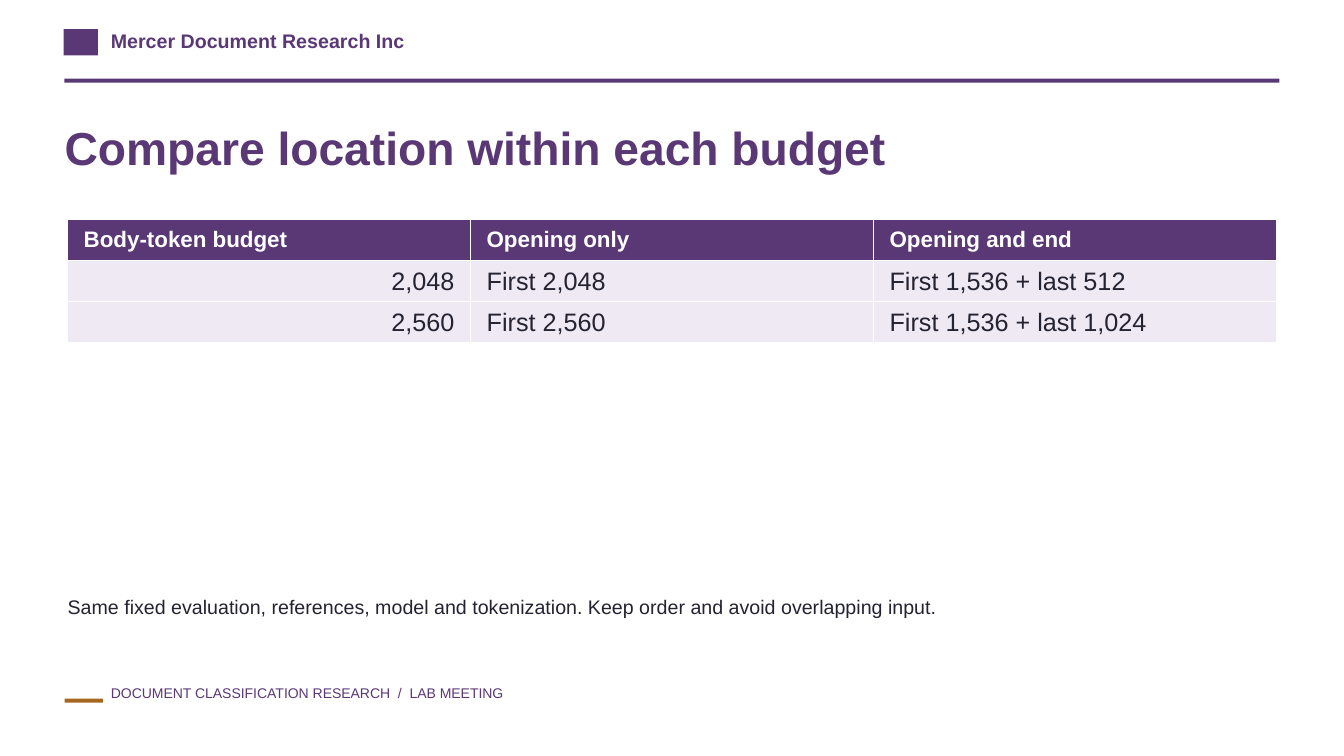
from pptx import Presentation
from pptx.enum.shapes import MSO_SHAPE as Shape
from pptx.enum.text import MSO_ANCHOR as Anchor, MSO_AUTO_SIZE as AutoSize, PP_ALIGN as Align
from pptx.dml.color import RGBColor
from pptx.util import Inches, Pt
from lxml import etree

PURPLE, OCHRE, INK, LILAC, WHITE = "593875", "A56720", "242331", "EFE9F4", "FFFFFF"
DRAWING = "{http://schemas.openxmlformats.org/drawingml/2006/main}"
colour = RGBColor.from_string

deck = Presentation()
deck.slide_width, deck.slide_height = Inches(13.33), Inches(7.5)
page = deck.slides.add_slide(deck.slide_layouts[1])


def area(left, top, width, height):
    """Turn percentages of the slide into lengths."""
    wide, high = deck.slide_width / 100, deck.slide_height / 100
    return [round(n) for n in (left * wide, top * high, width * wide, height * high)]


def write(box, text, size, ink, bold=False, align=Align.LEFT, after=0,
          anchor=Anchor.TOP, wrap=True, insets=(0, 0, 0, 0), in_table=False):
    """Fill a shape or table cell with one formatted paragraph."""
    frame = box.text_frame
    holder = box if in_table else frame
    holder.margin_left, holder.margin_top, holder.margin_right, holder.margin_bottom = map(Inches, insets)
    holder.vertical_anchor = anchor
    if not in_table:
        frame.word_wrap = wrap
    para = frame.paragraphs[0]
    para.alignment, para.space_before, para.space_after = align, Pt(0), Pt(after)
    span = para.add_run()
    span.text = text
    font = span.font
    font.name, font.size, font.bold = "Arial", Pt(size), bold
    font.color.rgb = colour(ink)


# Brand mark, header rule and footer accent
for bounds, fill in [
    ((4.73, 3.87, 2.55, 3.47), PURPLE),
    ((4.8, 10.4, 90.4, 0.53), PURPLE),
    ((4.8, 92.4, 2.85, 0.53), OCHRE),
]:
    bar = page.shapes.add_shape(Shape.RECTANGLE, *area(*bounds))
    bar.shadow.inherit = False
    bar.fill.solid()
    bar.fill.fore_color.rgb = colour(fill)
    bar.line.fill.background()

# Header and footer wording
for bounds, text, size, bold in [
    ((8.25, 3.87, 23.25, 4), "Mercer Document Research Inc", 14, True),
    ((8.25, 90.53, 32.26, 4.67), "DOCUMENT CLASSIFICATION RESEARCH  /  LAB MEETING", 10, False),
]:
    box = page.shapes.add_textbox(*area(*bounds))
    write(box, text, size, PURPLE, bold=bold, wrap=False)

# Title and closing note
title, note = page.placeholders
for box, bounds in [(title, (4.8, 15.2, 90.32, 10.93)), (note, (5.03, 78.67, 89.95, 7.73))]:
    box.left, box.top, box.width, box.height = area(*bounds)
    box.text_frame.auto_size = AutoSize.NONE
write(title, "Compare location within each budget", 33, PURPLE,
      bold=True, after=8, insets=(0, 0.04, 0, 0))
note_format = note.text_frame.paragraphs[0]._p.get_or_add_pPr()
note_format.set("marL", "0")
note_format.set("indent", "0")
etree.SubElement(note_format, DRAWING + "buNone")
write(note, "Same fixed evaluation, references, model and tokenization. "
      "Keep order and avoid overlapping input.", 14, INK, after=8)

# Budget table
rows = [
    ("Body-token budget", "Opening only", "Opening and end"),
    ("2,048", "First 2,048", "First 1,536 + last 512"),
    ("2,560", "First 2,560", "First 1,536 + last 1,024"),
]
table = page.shapes.add_table(3, 3, *area(5.03, 29.07, 89.95, 16.27)).table
for row, texts in enumerate(rows):
    header = row == 0
    for column, text in enumerate(texts):
        cell = table.cell(row, column)
        cell.fill.solid()
        cell.fill.fore_color.rgb = colour(PURPLE if header else LILAC)
        write(cell, text, 16 if header else 18, WHITE if header else INK, bold=header,
              align=Align.RIGHT if column == 0 and not header else Align.LEFT,
              anchor=Anchor.MIDDLE, insets=(0.16, 0.04, 0.16, 0.04), in_table=True)

deck.save("out.pptx")
